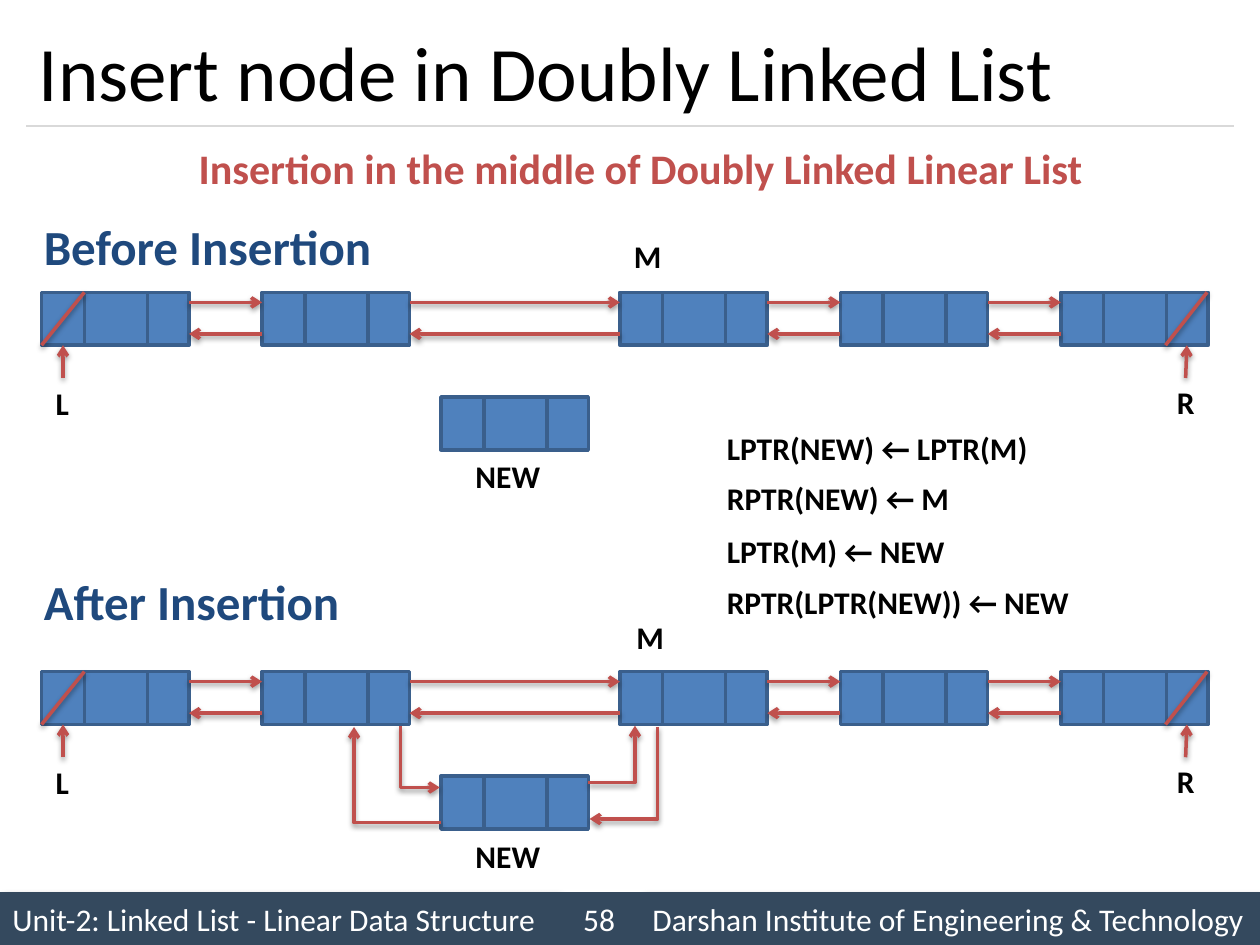
import pptx
import pptx.dml.color
import pptx.enum.dml
import pptx.enum.shapes
import pptx.enum.text
import pptx.oxml
import pptx.oxml.ns
import pptx.util
from pptx.util import Inches

RGBColor = pptx.dml.color.RGBColor
BLACK = RGBColor(0x00, 0x00, 0x00)
WHITE = RGBColor(0xFF, 0xFF, 0xFF)
SLATE = RGBColor(0x34, 0x49, 0x5E)
RULE_GREY = RGBColor(0xD9, 0xD9, 0xD9)
NODE_BLUE = RGBColor(0x4F, 0x81, 0xBD)
NODE_EDGE = RGBColor(0x3A, 0x5F, 0x8C)
HEADING_BLUE = RGBColor(0x1F, 0x49, 0x7D)
RED = RGBColor(0xC0, 0x50, 0x4D)

RECTANGLE = pptx.enum.shapes.MSO_SHAPE.RECTANGLE
STRAIGHT = pptx.enum.shapes.MSO_CONNECTOR.STRAIGHT
LEFT = pptx.enum.text.PP_ALIGN.LEFT
CENTER = pptx.enum.text.PP_ALIGN.CENTER
TOP = pptx.enum.text.MSO_ANCHOR.TOP
MIDDLE = pptx.enum.text.MSO_ANCHOR.MIDDLE


def write_text(box, text, size=18, color=BLACK, bold=True, align=CENTER, anchor=TOP, wrap=False):
    frame = box.text_frame
    frame.word_wrap = wrap
    frame.vertical_anchor = anchor
    para = frame.paragraphs[0]
    para.alignment = align
    span = para.add_run()
    span.text = text
    formats = {"name": "Calibri", "size": pptx.util.Pt(size), "bold": bold}
    for name, value in formats.items():
        setattr(span.font, name, value)
    span.font.color.rgb = color


def cast_shadow(shape, blur, distance, angle, opacity):
    """Add an outer black shadow; blur and distance in points, opacity in percent."""
    shape._element.spPr.append(pptx.oxml.parse_xml(
        f'<a:effectLst {pptx.oxml.ns.nsdecls("a")}>'
        f'<a:outerShdw blurRad="{pptx.util.Pt(blur)}" dist="{pptx.util.Pt(distance)}" '
        f'dir="{angle * 60000}" rotWithShape="0"><a:srgbClr val="000000">'
        f'<a:alpha val="{opacity * 1000}"/></a:srgbClr></a:outerShdw></a:effectLst>'))


deck = pptx.Presentation()
deck.slide_width, deck.slide_height = Inches(10), Inches(7.5)
page = deck.slides.add_slide(deck.slide_layouts[6])

# Footer bars and title rule
footer_bars = [
    (0, 4.42, LEFT, "Unit-2: Linked List - Linear Data Structure"),
    (5.08, 4.92, LEFT, "Darshan Institute of Engineering & Technology"),
    (4.42, 0.67, CENTER, "58"),
]
for left, width, align, text in footer_bars:
    bar = page.shapes.add_shape(RECTANGLE, Inches(left), Inches(7.08), Inches(width), Inches(0.42))
    bar.fill.solid()
    bar.fill.fore_color.rgb = SLATE
    bar.line.fill.background()
    if align == LEFT:
        cast_shadow(bar, 4, 3, 45, 40)
    else:
        bar.shadow.inherit = False
    write_text(bar, text, 18, WHITE, False, align, MIDDLE, True)

rule = page.shapes.add_connector(STRAIGHT, Inches(0.21), Inches(1), Inches(9.79), Inches(1))
rule.line.color.rgb = RULE_GREY
rule.line.width = pptx.util.Pt(0.75)
rule._element.spPr.append(pptx.oxml.parse_xml(f'<a:effectLst {pptx.oxml.ns.nsdecls("a")}/>'))

title = page.shapes.add_textbox(Inches(0.21), Inches(0.12), Inches(9.58), Inches(0.88))
write_text(title, "Insert node in Doubly Linked List", 44, BLACK, False, LEFT, MIDDLE, True)

# The two lists, before and after the insertion
NODE_LEFTS = [0.33, 2.08, 4.92, 6.67, 8.42]
CELLS = [(0.34, 0.5), (0, 0.34), (0.84, 0.33)]
NODE_WIDTH, NODE_HEIGHT = 1.17, 0.42
BEFORE_TOP, AFTER_TOP = 2.32, 5.33

links = []  # from x, from y, to x, to y, whether it has an arrowhead
labels = [
    (1.44, 1.08, 7.29, 0.5, "Insertion in the middle of Doubly Linked Linear List", 24, RED, CENTER),
    (0.25, 1.67, 2.83, 0.57, "Before Insertion", 28, HEADING_BLUE, LEFT),
    (0.25, 4.49, 2.59, 0.57, "After Insertion", 28, HEADING_BLUE, LEFT),
    (4.93, 1.83, 0.42, 0.4, "M", 18, BLACK, CENTER),
    (4.95, 4.86, 0.42, 0.4, "M", 18, BLACK, CENTER),
    (5.67, 3.36, 2.64, 0.4, "LPTR(NEW) ← LPTR(M)", 18, BLACK, LEFT),
    (5.67, 3.75, 2.01, 0.4, "RPTR(NEW) ← M", 18, BLACK, LEFT),
    (5.67, 4.17, 1.97, 0.4, "LPTR(M) ← NEW", 18, BLACK, LEFT),
    (5.67, 4.58, 2.97, 0.4, "RPTR(LPTR(NEW)) ← NEW", 18, BLACK, LEFT),
]
for top in (BEFORE_TOP, AFTER_TOP):
    bottom = top + NODE_HEIGHT
    nodes = [(left, top) for left in NODE_LEFTS] + [(3.5, top + 0.83)]
    for node_left, node_top in nodes:
        node = page.shapes.add_group_shape()
        for offset, width in CELLS:
            cell = node.shapes.add_shape(RECTANGLE, Inches(node_left + offset), Inches(node_top),
                                         Inches(width), Inches(NODE_HEIGHT))
            cell.shadow.inherit = False
            cell.fill.solid()
            cell.fill.fore_color.rgb = NODE_BLUE
            cell.line.color.rgb = NODE_EDGE
            cell.line.width = pptx.util.Pt(2)

    for left, following in zip(NODE_LEFTS, NODE_LEFTS[1:]):
        right = left + NODE_WIDTH
        links.append((right, top + 0.08, following, top + 0.08, True))
        links.append((following, top + 0.33, right, top + 0.33, True))
    links += [
        (0.67, top, 0.33, bottom, False),
        (9.25, bottom, 9.58, top, False),
        (0.5, top + 0.68, 0.5, bottom, True),
        (9.41, top + 0.68, 9.42, bottom, True),
    ]
    labels += [
        (0.34, top + 0.68, 0.31, 0.4, "L", 18, BLACK, CENTER),
        (9.24, top + 0.67, 0.34, 0.4, "R", 18, BLACK, CENTER),
        (3.67, top + 1.26, 0.72, 0.4, "NEW", 18, BLACK, CENTER),
    ]

# Straight links, then the bent links that tie in the new node
strokes = []
for from_x, from_y, to_x, to_y, has_head in links:
    link = page.shapes.add_connector(STRAIGHT, Inches(from_x), Inches(from_y), Inches(to_x), Inches(to_y))
    strokes.append((link, has_head))

bent_links = [
    [(4.67, 6.21), (5.04, 6.21), (5.04, 5.76)],
    [(5.22, 5.77), (5.22, 6.5), (4.68, 6.5)],
    [(3.18, 5.76), (3.18, 6.25), (3.49, 6.25)],
    [(3.5, 6.53), (2.81, 6.53), (2.81, 5.77)],
]
for points in bent_links:
    start, *corners = [(Inches(x), Inches(y)) for x, y in points]
    builder = page.shapes.build_freeform(*start)
    builder.add_line_segments(corners, close=False)
    bent_link = builder.convert_to_shape()
    bent_link.fill.background()
    strokes.append((bent_link, True))

for stroke, has_head in strokes:
    stroke.line.color.rgb = RED
    stroke.line.width = pptx.util.Pt(2)
    if has_head:
        stroke.line._get_or_add_ln().append(
            pptx.oxml.parse_xml(f'<a:tailEnd {pptx.oxml.ns.nsdecls("a")} type="arrow"/>'))
    cast_shadow(stroke, 3.1, 1.6, 90, 38)

for left, top, width, height, text, size, color, align in labels:
    label = page.shapes.add_textbox(Inches(left), Inches(top), Inches(width), Inches(height))
    write_text(label, text, size, color, align=align)

deck.save("out.pptx")
